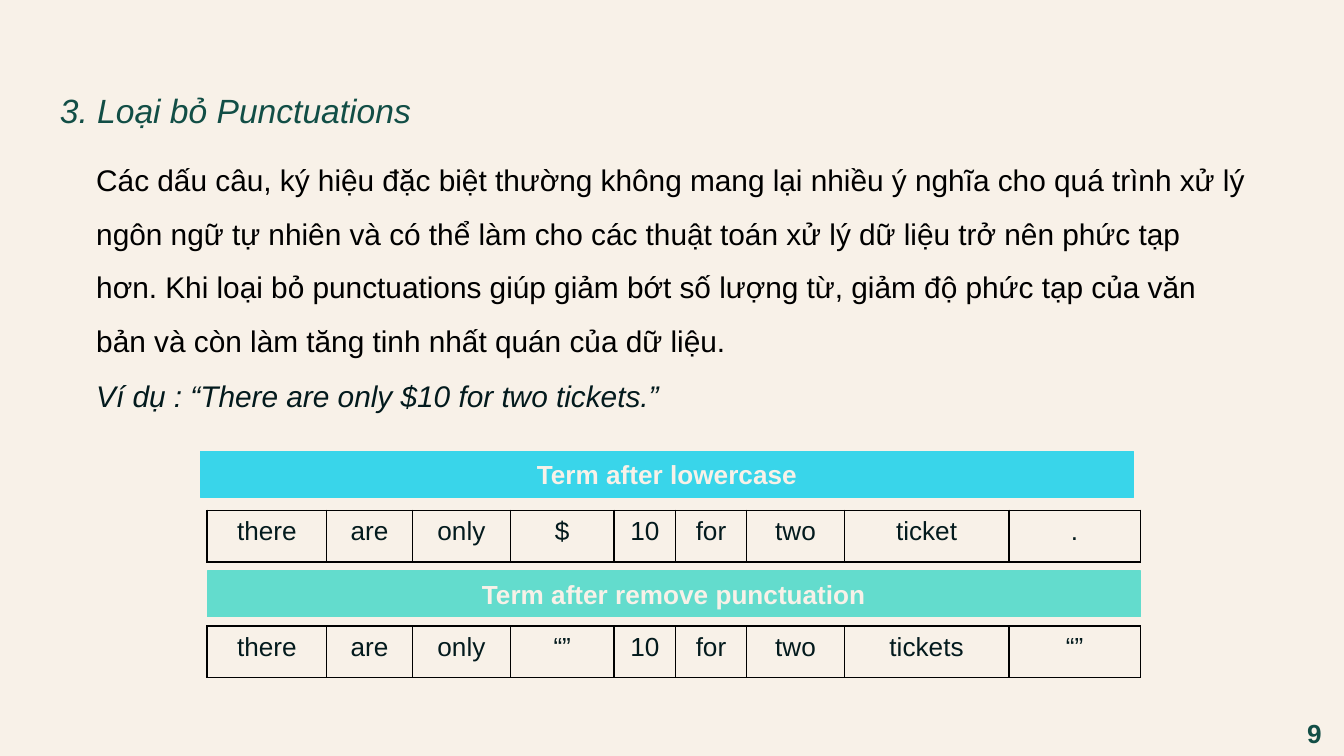
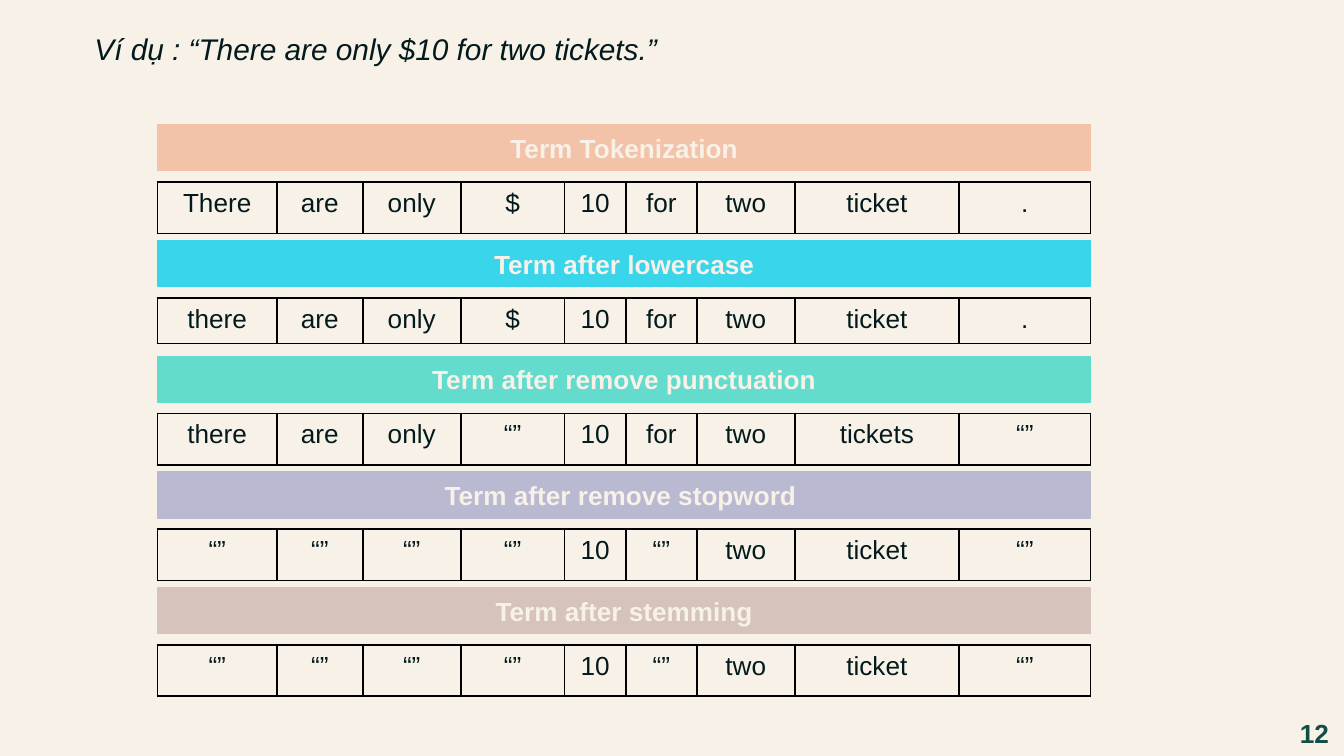
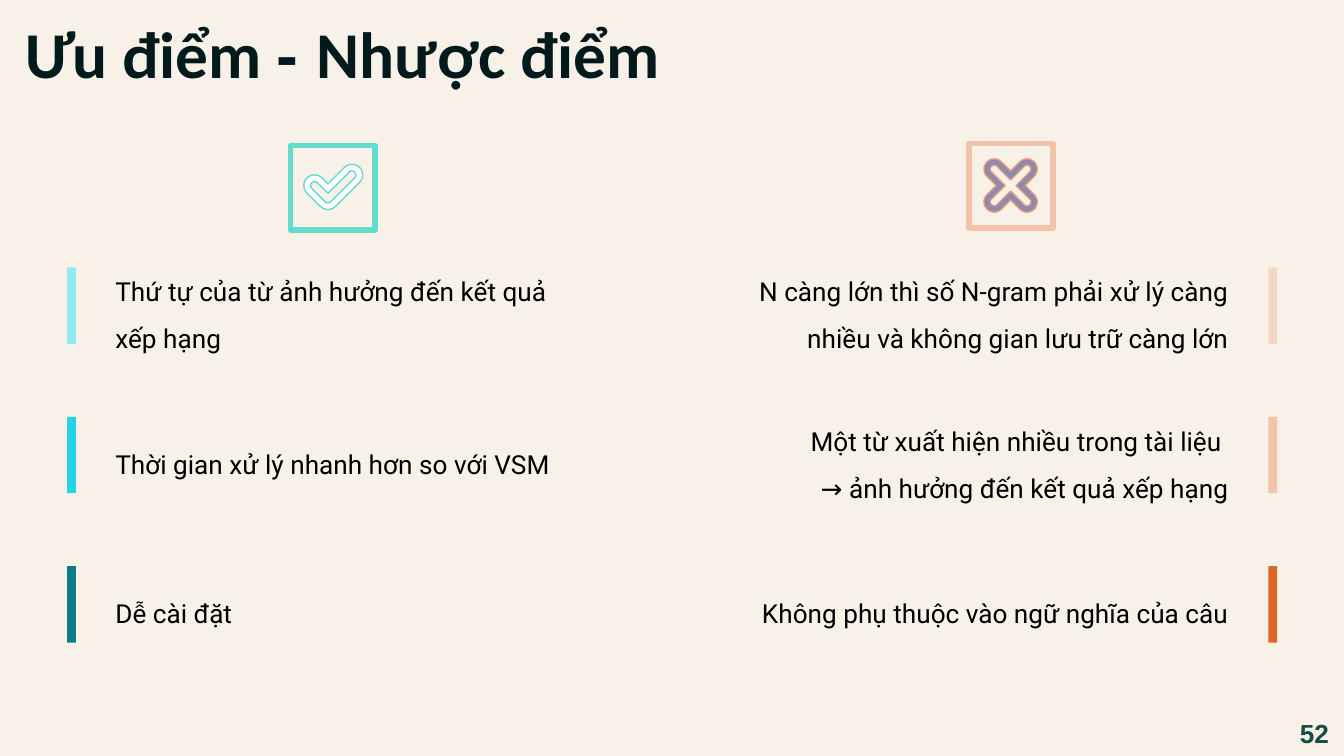
"""Build three slides on text cleaning steps and their pros and cons."""
import math

from lxml import etree
from pptx import Presentation
from pptx import util as u
from pptx.dml.color import RGBColor
from pptx.enum import shapes, text
from pptx.oxml.ns import qn

CREAM = RGBColor(0xF8, 0xF1, 0xE8)
INK = RGBColor(0x03, 0x1A, 0x1D)
GREEN = RGBColor(0x12, 0x4E, 0x46)
BLACK = RGBColor(0, 0, 0)
WHITE = RGBColor(0xFF, 0xFF, 0xFF)
CYAN = RGBColor(0x39, 0xD5, 0xEA)
MINT = RGBColor(0x63, 0xDC, 0xCD)
PEACH = RGBColor(0xF2, 0xC2, 0xA9)
LILAC = RGBColor(0xB9, 0xB9, 0xD1)
TAUPE = RGBColor(0xD6, 0xC4, 0xBC)
PURPLE = RGBColor(0x8A, 0x8A, 0xB2)
CORAL = RGBColor(0xE9, 0x9A, 0x6F)
BLUES = (RGBColor(0x93, 0xE9, 0xF4), RGBColor(0x26, 0xD2, 0xE9), RGBColor(0x0E, 0x7B, 0x89))
REDS = (RGBColor(0xF6, 0xD7, 0xC5), PEACH, RGBColor(0xDE, 0x66, 0x24))

LEFT, MID, RIGHT = text.PP_ALIGN.LEFT, text.PP_ALIGN.CENTER, text.PP_ALIGN.RIGHT
COLS = (64, 46, 52.5, 55.5, 33, 38, 52.5, 88, 70.5)
WIDE = sum(COLS)
SAMPLE = "Ví dụ : “There are only $10 for two tickets.”"
LOWER = ("Term after lowercase", CYAN, "there are only $ 10 for two ticket .")
PUNCT = ("Term after remove punctuation", MINT, "there are only “” 10 for two tickets “”")
STEPS = (
    ("Term Tokenization", PEACH, "There are only $ 10 for two ticket ."),
    LOWER,
    PUNCT,
    ("Term after remove stopword ", LILAC, "“” “” “” “” 10 “” two ticket “”"),
    ("Term after stemming", TAUPE, "“” “” “” “” 10 “” two ticket “”"),
)
BODY = (
    "Các dấu câu, ký hiệu đặc biệt thường không mang lại nhiều ý nghĩa cho quá trình xử lý "
    "ngôn ngữ tự nhiên và có thể làm cho các thuật toán xử lý dữ liệu trở nên phức tạp hơn. "
    "Khi loại bỏ punctuations giúp giảm bớt số lượng từ, giảm độ phức tạp của văn bản và còn "
    "làm tăng tinh nhất quán của dữ liệu."
)
PROS = (
    "Thứ tự của từ ảnh hưởng đến kết quả xếp hạng",
    "Thời gian xử lý nhanh hơn so với VSM",
    "Dễ cài đặt",
)
CONS = (
    "N càng lớn thì số N-gram phải xử lý càng nhiều và không gian lưu trữ càng lớn",
    "Một từ xuất hiện nhiều trong tài liệu \n→ ảnh hưởng đến kết quả xếp hạng",
    "Không phụ thuộc vào ngữ nghĩa của câu",
)


def pts(*nums):
    """Turn numbers into point lengths."""
    return [u.Pt(n) for n in nums]


def style(frame, size, color, face="Arial", bold=False, slant=False, align=LEFT, space=None):
    """Format every paragraph and run of a text frame."""
    for para in frame.paragraphs:
        para.alignment = align
        para.line_spacing = space
        for run in para.runs:
            font = run.font
            font.size, font.name = u.Pt(size), face
            font.bold, font.italic = bold, slant
            font.color.rgb = color


def write(slide, box, words, size, color, **look):
    """Add a wrapped text box and return its frame."""
    frame = slide.shapes.add_textbox(*pts(*box)).text_frame
    frame.word_wrap = True
    frame.text = words
    style(frame, size, color, **look)
    return frame


def paint(shape, fill=None, line=None, width=0.75):
    """Set the fill and line of a shape and drop its shadow."""
    shape.shadow.inherit = False
    for part, color in ((shape.fill, fill), (shape.line.fill, line)):
        if color is None:
            part.background()
        else:
            part.solid()
            part.fore_color.rgb = color
    if line is not None:
        shape.line.width = u.Pt(width)


def block(slide, box, **look):
    """Add a painted rectangle."""
    shape = slide.shapes.add_shape(shapes.MSO_SHAPE.RECTANGLE, *pts(*box))
    paint(shape, **look)
    return shape


def band(slide, left, top, words, color):
    """Add a coloured heading band."""
    frame = block(slide, (left, top, WIDE, 24.5), fill=color, line=color).text_frame
    frame.word_wrap = True
    frame.text = words
    style(frame, 14, CREAM, bold=True, align=MID)


def edge(cell):
    """Draw a thin black border round a cell."""
    props = cell._tc.get_or_add_tcPr()
    for spot, side in enumerate(("a:lnL", "a:lnR", "a:lnT", "a:lnB")):
        line = etree.Element(qn(side), w=str(u.Pt(1)))
        fill = etree.SubElement(line, qn("a:solidFill"))
        etree.SubElement(fill, qn("a:srgbClr"), val=str(BLACK))
        props.insert(spot, line)


def terms(slide, left, top, words, high=27.5):
    """Add a one-row table of terms."""
    grid = slide.shapes.add_table(1, len(COLS), *pts(left, top, WIDE, high)).table
    grid.first_row = grid.horz_banding = False
    for col, width in zip(grid.columns, COLS):
        col.width = u.Pt(width)
    for cell, word in zip(grid.rows[0].cells, words.split()):
        cell.text = word
        style(cell.text_frame, 14, INK, align=MID)
        cell.fill.background()
        edge(cell)


def arc(mid, size, start, end):
    """List points along an arc, with angles in degrees."""
    turns = range(start, end + 1, 15)
    return [
        (mid[0] + size * math.cos(math.radians(t)), mid[1] + size * math.sin(math.radians(t)))
        for t in turns
    ]


def tick(size):
    """Outline a round-ended check mark."""
    tail, bend, tip = (168.5, 99.4), (175.7, 106.6), (188.6, 93.7)
    notch = arc(bend, size * math.sqrt(2), 270, 270)
    return arc(tail, size, 135, 315) + notch + arc(tip, size, 225, 405) + arc(bend, size, 45, 135)


def cross(size):
    """Outline a round-ended cross."""
    mid, reach = (541.4, 99.4), 12.4
    path = []
    for turn in range(45, 405, 90):
        tip = arc(mid, reach, turn, turn)[0]
        path += arc(tip, size, turn - 90, turn + 90)
        path += arc(mid, size * math.sqrt(2), turn + 45, turn + 45)
    return path


def sign(slide, rings, **look):
    """Add a freeform made of closed outlines."""
    first, *rest = [[pts(*dot) for dot in ring] for ring in rings]
    form = slide.shapes.build_freeform(*first[0])
    form.add_line_segments(first[1:])
    for ring in rest:
        form.move_to(*ring[0])
        form.add_line_segments(ring[1:])
    paint(form.convert_to_shape(), **look)


def title(slide, parts):
    """Add the bold title from pieces of text and their fonts."""
    frame = write(slide, (6.5, 0, 380, 45.5), "", 35, INK)
    frame.margin_top = frame.margin_bottom = u.Pt(7.2)
    for words, face in parts:
        run = frame.paragraphs[0].add_run()
        run.text = words
        run.font.name, run.font.size, run.font.bold = face, u.Pt(35), True
        run.font.color.rgb = INK


def points(slide, items, colors, bar, left, width, align):
    """Add a column of statements with colour bars."""
    for i, (words, color) in enumerate(zip(items, colors)):
        block(slide, (bar, 143.3 + 80 * i, 4.7, 41), fill=color)
        frame = write(slide, (left, 144.5 + 80 * i, width, 40), words, 14, BLACK,
                      face="Roboto", align=align, space=1.5)
        frame.vertical_anchor = text.MSO_ANCHOR.MIDDLE
        frame.margin_top = frame.margin_bottom = u.Pt(7.2)


def page(deck, num):
    """Add a cream slide with its number."""
    slide = deck.slides.add_slide(deck.slide_layouts[6])
    slide.background.fill.solid()
    slide.background.fill.fore_color.rgb = CREAM
    write(slide, (688.3, 381, 31.7, 24.5), str(num), 14, GREEN, bold=True, align=MID)
    return slide


def main():
    """Build the slides and save them."""
    deck = Presentation()
    deck.slide_width, deck.slide_height = pts(720, 405)

    slide = page(deck, 9)
    write(slide, (25, 34, 211, 36), "3. Loại bỏ Punctuations", 18, GREEN, slant=True, space=1.5)
    write(slide, (44.5, 73.5, 631.5, 120), BODY, 16, BLACK, space=1.5)
    write(slide, (44.5, 199, 556.5, 26.5), SAMPLE, 16, INK, slant=True)
    for (name, color, words), left, top, low in ((LOWER, 107.3, 242, 273.5),
                                                (PUNCT, 111, 306, 335.5)):
        band(slide, left, top, name, color)
        terms(slide, 111, low, words)

    slide = page(deck, 12)
    write(slide, (43.5, 13, 541.5, 26.5), SAMPLE, 16, INK, slant=True)
    for i, (name, color, words) in enumerate(STEPS):
        top = 67 + 62 * i
        band(slide, 84.4, top, name, color)
        terms(slide, 84.4, top + 30.5, words, 24.5 if name == LOWER[0] else 27.5)

    slide = page(deck, 52)
    title(slide, (("Ưu điểm ", "Calibri"), ("- ", "Arial"), ("Nhược điểm", "Calibri")))
    points(slide, PROS, BLUES, 36, 54.7, 265.7, LEFT)
    points(slide, CONS, REDS, 679.5, 393.2, 272, RIGHT)
    block(slide, (155.7, 78, 45.3, 45.3), line=MINT, width=3)
    sign(slide, (tick(5.7), tick(2.1)), fill=WHITE, line=MINT)
    block(slide, (519, 77, 45.3, 45.3), line=PEACH, width=3)
    sign(slide, (cross(5.5), cross(2.1)), fill=PURPLE, line=CORAL)

    deck.save("out.pptx")


if __name__ == "__main__":
    main()
